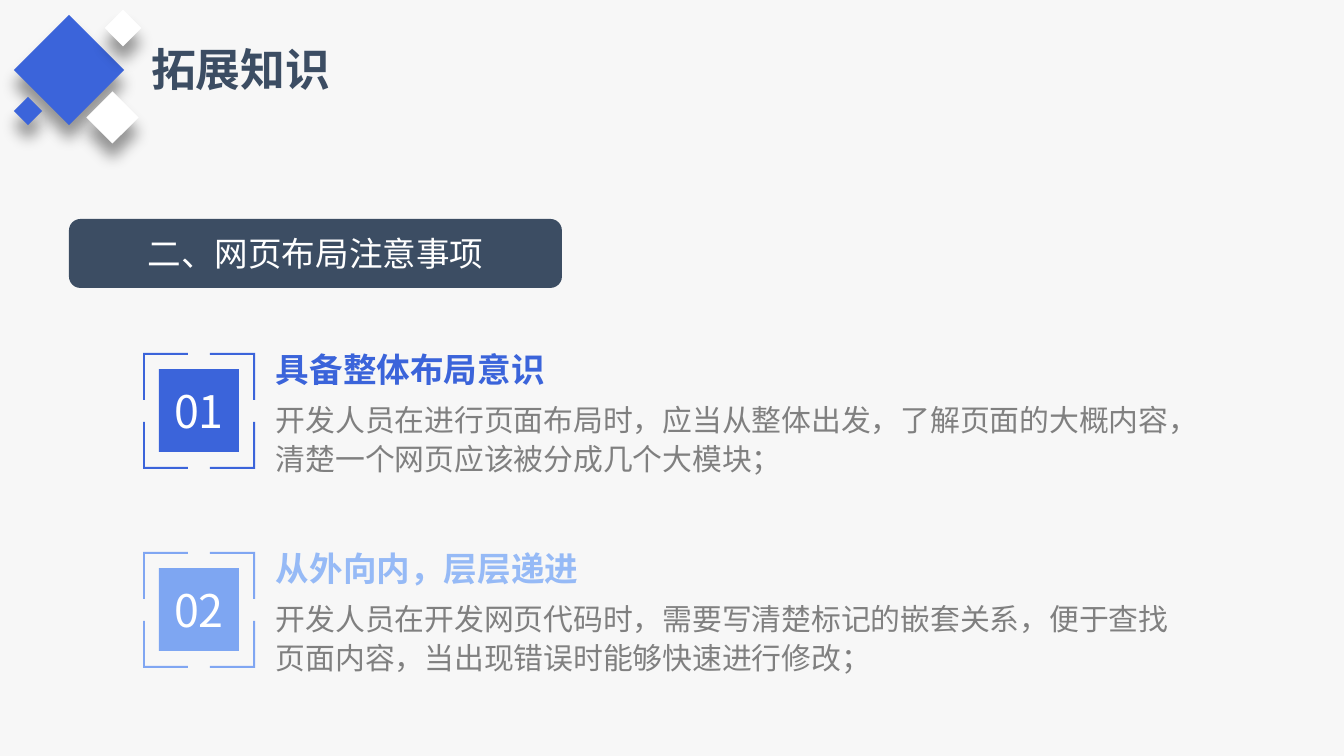
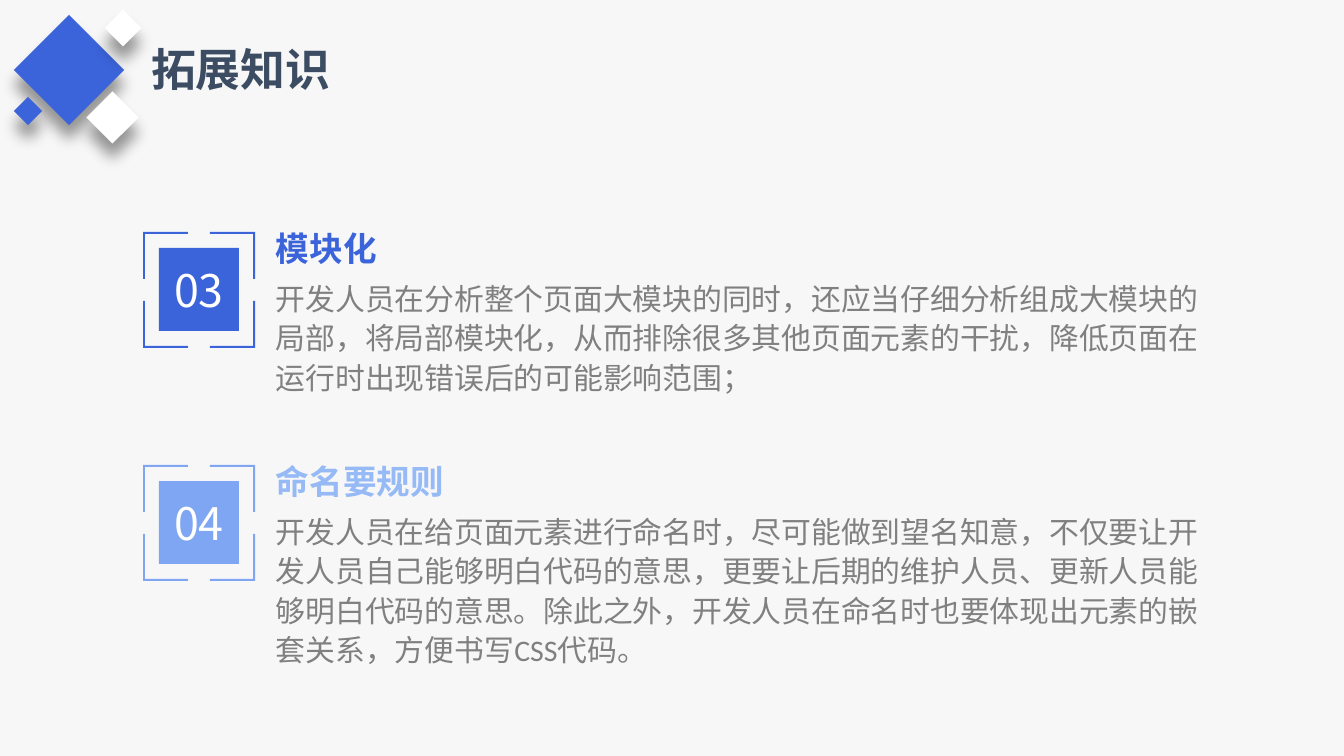
from dataclasses import dataclass

from lxml import etree
from pptx import Presentation
from pptx.dml.color import RGBColor
from pptx.enum.shapes import MSO_SHAPE
from pptx.enum.text import MSO_ANCHOR, MSO_AUTO_SIZE, PP_ALIGN
from pptx.oxml.ns import qn
from pptx.util import Emu, Pt

RECT = MSO_SHAPE.RECTANGLE
ROUND = MSO_SHAPE.ROUNDED_RECTANGLE
MIDDLE = MSO_ANCHOR.MIDDLE
TOP = MSO_ANCHOR.TOP
CENTER = PP_ALIGN.CENTER
GROW = MSO_AUTO_SIZE.SHAPE_TO_FIT_TEXT
SCALE = 6804


@dataclass(frozen=True)
class Theme:
    back: str = "F7F7F7"
    navy: str = "3C4D63"
    blue: str = "3B64DA"
    white: str = "FFFFFF"
    gray: str = "808080"
    dark: tuple = ("3B64DA", "3B64DA", "3B64DA")
    light: tuple = ("80A6F2", "7EA6F2", "96BAF6")
    title: int = 24
    number: int = 24
    head: int = 18
    body: int = 16
    sans: str = "Noto Sans CJK SC"
    digit: str = "Noto Sans CJK JP"
    latin: str = "Calibri"


THEME = Theme()


def px(*sizes):
    return [Emu(size * SCALE) for size in sizes]


def paint(shape, color):
    shape.shadow.inherit = False
    shape.fill.solid()
    shape.fill.fore_color.rgb = RGBColor.from_string(color)
    shape.line.fill.background()


def write(shape, text, size, font, color, bold=False):
    frame = shape.text_frame
    frame.text = text
    for run in frame.paragraphs[0].runs:
        run.font.size = Pt(size)
        run.font.bold = bold
        run.font.color.rgb = RGBColor.from_string(color)
        run.font.name = font
        east = etree.SubElement(run._r.get_or_add_rPr(), qn("a:ea"))
        east.set("typeface", THEME.sans if font == THEME.latin else font)
    return frame


def add_box(slide, kind, place, color):
    shape = slide.shapes.add_shape(kind, *px(*place))
    paint(shape, color)
    return shape


def add_label(slide, kind, place, fill, text, size, font):
    shape = add_box(slide, kind, place, fill)
    frame = write(shape, text, size, font, THEME.white)
    frame.vertical_anchor = MIDDLE
    frame.paragraphs[0].alignment = CENTER


def add_text(slide, place, text, size, color, bold=False, anchor=TOP):
    shape = slide.shapes.add_textbox(*px(*place))
    frame = write(shape, text, size, THEME.latin, color, bold)
    frame.word_wrap = True
    frame.vertical_anchor = anchor
    frame.margin_left = frame.margin_right = 0
    frame.margin_top = frame.margin_bottom = 0
    return frame.paragraphs[0]


def add_diamond(slide, left, top, side, color):
    shape = add_box(slide, RECT, (left, top, side, side), color)
    shape.rotation = 45
    effects = shape._element.spPr.find(qn("a:effectLst"))
    shadow = etree.SubElement(
        effects, qn("a:outerShdw"), blurRad=str(Pt(8)), dist=str(Pt(8)),
        dir="5400000", algn="t", rotWithShape="0")
    black = etree.SubElement(shadow, qn("a:srgbClr"), val="000000")
    etree.SubElement(black, qn("a:alpha"), val="40000")


def corner(x, y, across, down):
    wide, tall, thick = 45, 47, 2
    steps = [(0, 0), (wide, 0), (wide, thick),
             (thick, thick), (thick, tall), (0, tall)]
    return [(x + across * dx, y + down * dy) for dx, dy in steps]


def add_frame(slide, left, top, width, height, color):
    loops = [corner(x, y, across, down)
             for y, down in ((top, 1), (top + height, -1))
             for x, across in ((left, 1), (left + width, -1))]
    pen = slide.shapes.build_freeform(*loops[0][0], scale=SCALE)
    for loop in loops:
        pen.move_to(*loop[0])
        pen.add_line_segments(loop[1:], close=True)
    paint(pen.convert_to_shape(), color)


def add_item(slide, top, number, head, body, tones, width=950):
    edge, fill, ink = tones
    add_frame(slide, 143, top, 112, 116, edge)
    add_label(slide, RECT, (159, top + 16, 80, 83), fill,
              number, THEME.number, THEME.digit)
    add_text(slide, (276, top - 12, 345, 56), head, THEME.head, ink,
             True, MIDDLE)
    text = add_text(slide, (276, top + 45, width, 134), body,
                    THEME.body, THEME.gray)
    text.line_spacing = 1.1


def add_page(deck):
    slide = deck.slides.add_slide(deck.slide_layouts[6])
    slide.background.fill.solid()
    slide.background.fill.fore_color.rgb = RGBColor.from_string(THEME.back)
    title = slide.shapes.add_textbox(*px(138, 35, 207, 67))
    frame = write(title, "拓展知识", THEME.title, THEME.sans, THEME.navy, True)
    frame.word_wrap = False
    frame.auto_size = GROW
    for left, top, side, color in (
            (30, 31, 78, THEME.blue), (94, 99, 37, THEME.white),
            (110, 15, 26, THEME.white), (18, 101, 20, THEME.blue)):
        add_diamond(slide, left, top, side, color)
    return slide


def main():
    deck = Presentation()
    deck.slide_width, deck.slide_height = px(1344, 756)

    first = add_page(deck)
    add_label(first, ROUND, (69, 219, 493, 69), THEME.navy,
              "二、网页布局注意事项", THEME.head, THEME.sans)
    add_item(first, 353, "01", "具备整体布局意识",
             "开发人员在进行页面布局时，应当从整体出发，了解页面的大概内容，"
             "清楚一个网页应该被分成几个大模块；", THEME.dark)
    add_item(first, 552, "02", "从外向内，层层递进",
             "开发人员在开发网页代码时，需要写清楚标记的嵌套关系，便于查找"
             "页面内容，当出现错误时能够快速进行修改；", THEME.light, 906)

    second = add_page(deck)
    add_item(second, 232, "03", "模块化",
             "开发人员在分析整个页面大模块的同时，还应当仔细分析组成大模块的"
             "局部，将局部模块化，从而排除很多其他页面元素的干扰，降低页面在"
             "运行时出现错误后的可能影响范围；", THEME.dark)
    add_item(second, 465, "04", "命名要规则",
             "开发人员在给页面元素进行命名时，尽可能做到望名知意，不仅要让开"
             "发人员自己能够明白代码的意思，更要让后期的维护人员、更新人员能"
             "够明白代码的意思。除此之外，开发人员在命名时也要体现出元素的嵌"
             "套关系，方便书写CSS代码。", THEME.light)

    deck.save("out.pptx")


if __name__ == "__main__":
    main()
